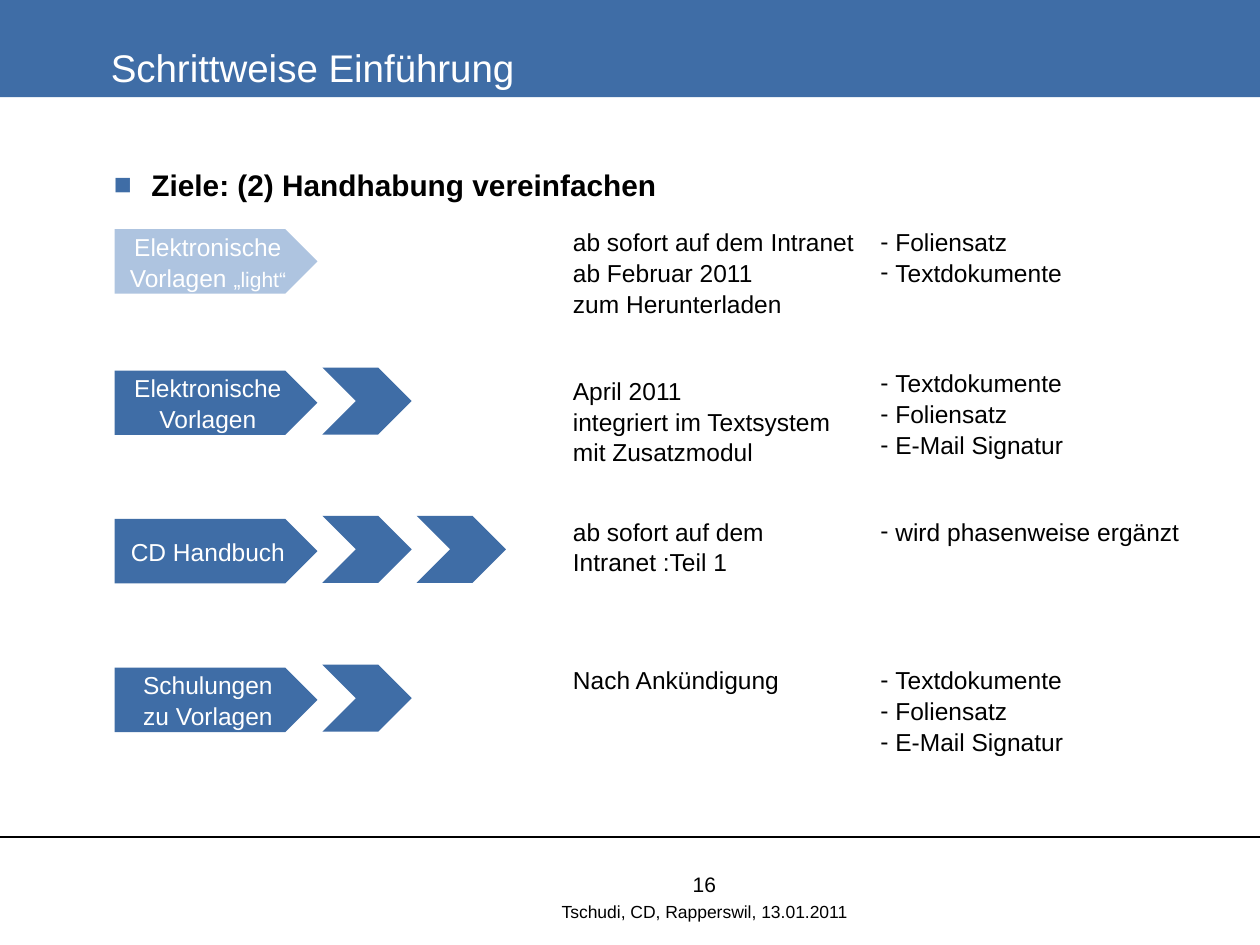
from dataclasses import dataclass

from lxml.etree import SubElement
from pptx import Presentation
from pptx.dml.color import RGBColor
from pptx.enum.shapes import MSO_CONNECTOR, MSO_SHAPE
from pptx.enum.text import MSO_ANCHOR, MSO_AUTO_SIZE, PP_ALIGN
from pptx.oxml.ns import qn
from pptx.util import Cm, Pt

BLUE = RGBColor(0x3F, 0x6D, 0xA6)
LIGHT_BLUE = RGBColor(0xAE, 0xC4, 0xE0)
WHITE = RGBColor(0xFF, 0xFF, 0xFF)
BLACK = RGBColor(0, 0, 0)

SLIDE_WIDTH, SLIDE_HEIGHT = 25.4, 19.05
PLATE_LEFT, PLATE_WIDTH, PLATE_HEIGHT = 2.31, 4.09, 1.3
CHEVRON_LEFT, CHEVRON_STEP, CHEVRON_RISE = 6.5, 1.9, 0.06
CHEVRON_WIDTH, CHEVRON_HEIGHT = 1.8, 1.35
TIMING_LEFT, DETAILS_LEFT, TEXT_RISE = 11.3, 17.5, 0.2
HANGING_INDENT = 0.3

TITLE_FONT = {"name": "Arial", "size": Pt(22), "bold": False}
GOAL_FONT = {"name": "Arial", "size": Pt(17), "bold": True}
TEXT_FONT = {"name": "Arial", "size": Pt(14)}
SMALL_FONT = {"name": "Arial", "size": Pt(12)}
FOOTER_FONT = {"name": "Arial", "size": Pt(10)}

PLATE_FRAME = {"word_wrap": True, "vertical_anchor": MSO_ANCHOR.MIDDLE}
TEXT_FRAME = {"word_wrap": True, "auto_size": MSO_AUTO_SIZE.SHAPE_TO_FIT_TEXT}
FOOTER_FRAME = PLATE_FRAME | {"margin_top": 0, "margin_bottom": 0}
TITLE_FRAME = PLATE_FRAME | {"margin_top": Cm(0.89), "auto_size": MSO_AUTO_SIZE.NONE}
GOAL_FRAME = {"vertical_anchor": MSO_ANCHOR.TOP, "auto_size": MSO_AUTO_SIZE.NONE}
CENTRED = {"alignment": PP_ALIGN.CENTER}
SPACED = {"line_spacing": 1.05}


@dataclass
class Step:
    """One row of the introduction plan, with lengths in centimetres."""
    top: float
    label: list[str]
    timing: list[str]
    details: list[str]
    timing_lines: int
    chevrons: int = 0
    note: str = ""
    fill: RGBColor = BLUE
    timing_shift: float = 0
    timing_width: float = 5.8
    details_width: float = 7.5


STEPS = [
    Step(4.62, ["Elektronische Vorlagen "],
         ["ab sofort auf dem Intranet ab Februar 2011", "zum Herunterladen"],
         ["Foliensatz", "Textdokumente"], 3,
         note="„light“", fill=LIGHT_BLUE, timing_width=6.5),
    Step(7.47, ["Elektronische Vorlagen"],
         ["April 2011", "integriert im Textsystem mit Zusatzmodul"],
         ["Textdokumente", "Foliensatz", "E-Mail Signatur"], 3,
         chevrons=1, timing_shift=0.15, details_width=4.8),
    Step(10.46, ["CD Handbuch"], ["ab sofort auf dem Intranet :Teil 1"],
         ["wird phasenweise ergänzt"], 2, chevrons=2),
    Step(13.46, ["Schulungen", "zu Vorlagen"], ["Nach Ankündigung"],
         ["Textdokumente", "Foliensatz", "E-Mail Signatur"], 1,
         chevrons=1, details_width=4.8),
]


def apply_format(target, values: dict) -> None:
    """Set each attribute named in the format values."""
    for name, value in values.items():
        setattr(target, name, value)


def place(shape, left: float, top: float, width: float, height: float) -> None:
    """Move and size a shape, in centimetres."""
    apply_format(shape, {"left": Cm(left), "top": Cm(top),
                         "width": Cm(width), "height": Cm(height)})


def add_run(paragraph, text: str, font: dict, color: RGBColor) -> None:
    """Append formatted text to a paragraph."""
    run = paragraph.add_run()
    run.text = text
    apply_format(run.font, font)
    run.font.color.rgb = color


def write_lines(shape, lines: list[str], font: dict, color: RGBColor,
                frame_format: dict, paragraph_format: dict) -> list:
    """Write one paragraph per line and return the paragraphs."""
    frame = shape.text_frame
    apply_format(frame, frame_format)
    for _ in lines[1:]:
        frame.add_paragraph()
    for paragraph, line in zip(frame.paragraphs, lines):
        apply_format(paragraph, paragraph_format)
        add_run(paragraph, line, font, color)
    return list(frame.paragraphs)


def set_indent(paragraph, margin: float, indent: float, bullet: str = "",
               color: RGBColor = BLACK) -> None:
    """Set the left margin, first-line indent and optional bullet."""
    properties = paragraph._p.get_or_add_pPr()
    properties.set("marL", str(Cm(margin)))
    properties.set("indent", str(Cm(indent)))
    if bullet:
        bullet_color = SubElement(properties, qn("a:buClr"))
        SubElement(bullet_color, qn("a:srgbClr"), val=str(color))
        SubElement(properties, qn("a:buFont"), typeface="Arial")
        SubElement(properties, qn("a:buChar"), char=bullet)


def add_block(slide, kind: MSO_SHAPE, color: RGBColor, *box: float):
    """Add a filled preset shape without outline or shadow."""
    shape = slide.shapes.add_shape(kind, *map(Cm, box))
    shape.shadow.inherit = False
    shape.fill.solid()
    shape.fill.fore_color.rgb = color
    shape.line.fill.background()
    return shape


def add_text(slide, lines: list[str], left: float, top: float, width: float,
             line_count: int) -> list:
    """Add a column text box tall enough for its lines."""
    height = 0.25 + 0.6 * line_count
    box = slide.shapes.add_textbox(*map(Cm, (left, top, width, height)))
    return write_lines(box, lines, TEXT_FONT, BLACK, TEXT_FRAME, SPACED)


def add_step(slide, step: Step) -> None:
    """Draw the arrows, timing and details of a step."""
    plate = add_block(slide, MSO_SHAPE.PENTAGON, step.fill,
                      PLATE_LEFT, step.top, PLATE_WIDTH, PLATE_HEIGHT)
    label = write_lines(plate, step.label, TEXT_FONT, WHITE,
                        PLATE_FRAME, CENTRED | SPACED)
    if step.note:
        add_run(label[-1], step.note, SMALL_FONT, WHITE)
    for index in range(step.chevrons):
        add_block(slide, MSO_SHAPE.CHEVRON, step.fill,
                  CHEVRON_LEFT + index * CHEVRON_STEP, step.top - CHEVRON_RISE,
                  CHEVRON_WIDTH, CHEVRON_HEIGHT)
    text_top = step.top - TEXT_RISE
    add_text(slide, step.timing, TIMING_LEFT, text_top + step.timing_shift,
             step.timing_width, step.timing_lines)
    for paragraph in add_text(slide, step.details, DETAILS_LEFT, text_top,
                              step.details_width, len(step.details)):
        set_indent(paragraph, HANGING_INDENT, -HANGING_INDENT, "-")


def add_heading(slide) -> None:
    """Fill the title band and the goal line."""
    title, goal = slide.shapes.title, slide.placeholders[1]
    place(title, 0, 0, SLIDE_WIDTH, 1.96)
    title.fill.solid()
    title.fill.fore_color.rgb = BLUE
    [paragraph] = write_lines(title, ["Schrittweise Einführung"], TITLE_FONT, WHITE,
                              TITLE_FRAME, {"alignment": PP_ALIGN.LEFT})
    set_indent(paragraph, 1.98, 0)
    place(goal, 1.3, 3.23, 22.8, 13.4)
    [paragraph] = write_lines(goal, ["Ziele: (2) Handhabung vereinfachen"], GOAL_FONT,
                              BLACK, GOAL_FRAME, {"space_before": Pt(3.4)})
    set_indent(paragraph, 1.5, -0.76, "■", BLUE)


def add_footer(slide) -> None:
    """Draw the footer rule, the page number and the credit line."""
    rule = slide.shapes.add_connector(MSO_CONNECTOR.STRAIGHT, 0, Cm(16.87),
                                      Cm(SLIDE_WIDTH), Cm(16.87))
    rule.line.color.rgb = BLACK
    rule.line.width = Pt(0.75)
    SubElement(rule._element.spPr, qn("a:effectLst"))
    for text, font, top, height in (
            ("Tschudi, CD, Rapperswil, 13.01.2011", FOOTER_FONT, 18.03, 0.71),
            ("16", SMALL_FONT, 17.65, 0.33)):
        box = slide.shapes.add_textbox(*map(Cm, (8.5, top, 11.4, height)))
        write_lines(box, [text], font, BLACK, FOOTER_FRAME, CENTRED)


def main() -> None:
    """Build and save the presentation."""
    presentation = Presentation()
    presentation.slide_width = Cm(SLIDE_WIDTH)
    presentation.slide_height = Cm(SLIDE_HEIGHT)
    slide = presentation.slides.add_slide(presentation.slide_layouts[1])
    add_heading(slide)
    add_footer(slide)
    for step in STEPS:
        add_step(slide, step)
    presentation.save("out.pptx")


main()
